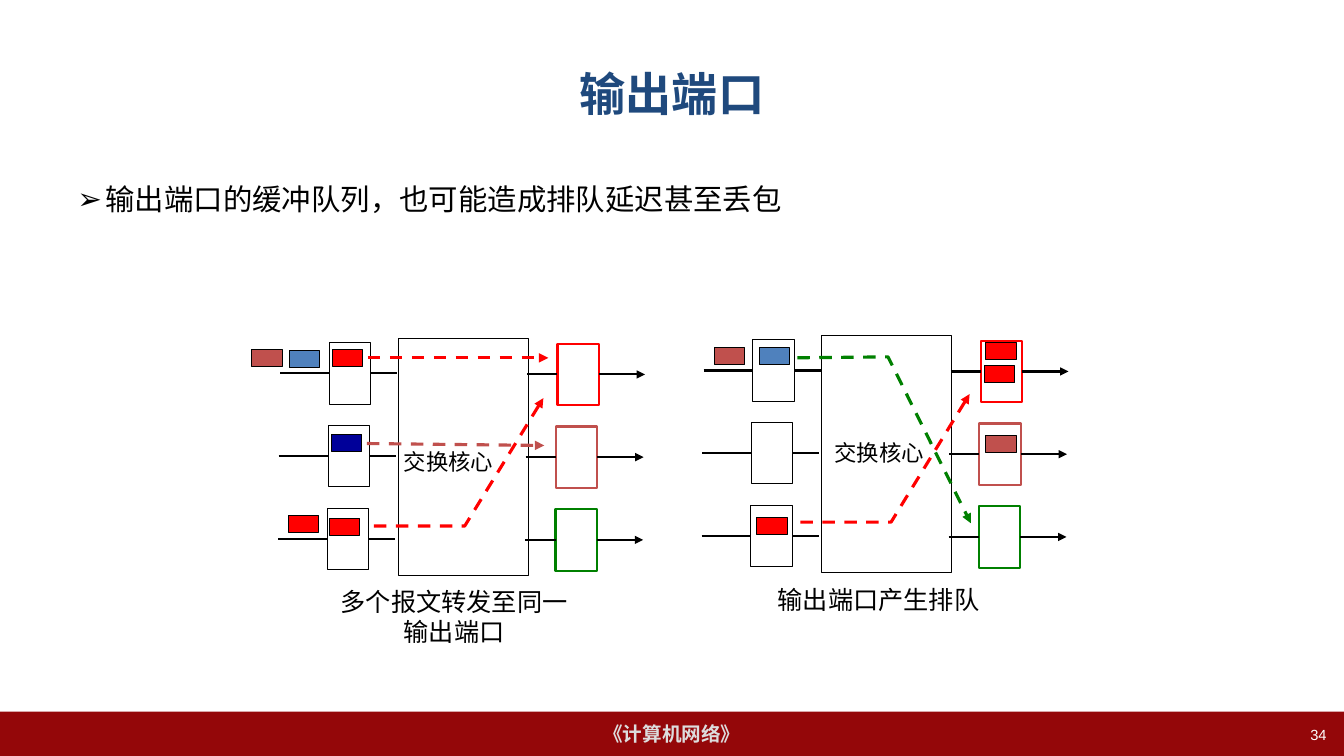
from lxml import etree
from pptx import Presentation
from pptx.dml.color import RGBColor
from pptx.enum import dml, shapes, text
from pptx.oxml.ns import qn
from pptx.util import Pt

# Content
TITLE = "输出端口"
BULLET = "输出端口的缓冲队列，也可能造成排队延迟甚至丢包"
COURSE = "《计算机网络》"
PAGE_NUMBER = "34"
COLOURS = {
    "white": "FFFFFF", "black": "000000", "title": "1F497D", "footer": "940709",
    "course": "DDDDDD", "red": "FF0000", "brick": "C0504D", "green": "008000",
    "blue": "4F81BD", "navy": "000099",
}
ARIAL, NOTO = "Arial", "Noto Sans CJK SC"

# Each switch: core corner, label and caption boxes, packets (colour, left, top)
# and flows (colour, points)
SWITCHES = [
    {
        "core": (284.4, 241.9),
        "label": ("交换核心", 281.5, 316.8),
        "caption": ("多个报文转发至同一输出端口", 227.5, 415.4, 51.1),
        "packets": [
            ("red", 237.6, 249.8), ("navy", 236.9, 310.3), ("red", 235.4, 370.1),
            ("blue", 206.6, 250.6), ("red", 205.9, 367.9), ("brick", 180, 249.8),
        ],
        "flows": [
            ("red", [(262.8, 255.6), (391.7, 255.6)]),
            ("red", [(267.1, 375.8), (331.9, 375.8), (388.1, 284.4)]),
            ("brick", [(262.1, 316.8), (388.8, 318.2)]),
        ],
    },
    {
        "core": (586.8, 239.8),
        "label": ("交换核心", 589, 310.3),
        "caption": ("输出端口产生排队", 530.6, 414, 28.8),
        "packets": [
            ("red", 704.2, 244.8), ("brick", 704.2, 311), ("red", 703.4, 261.4),
            ("blue", 542.2, 248.4), ("red", 540.7, 369.4), ("brick", 510.5, 248.4),
        ],
        "flows": [
            ("red", [(571.7, 373), (636.5, 373), (692.6, 281.5)]),
            ("green", [(569.5, 255.6), (634.3, 254.9), (693.4, 373.7)]),
        ],
    },
]
# Port rows: output colour, sideways shift of the row
ROWS = [("red", 0), ("brick", -1.1), ("green", -1.4)]
ROW_STEP = 59.1
CORE_SIZE, PORT_SIZE, PACKET_SIZE = (92.9, 169.2), (29.5, 43.9), (21.6, 12.2)

deck = Presentation()
deck.slide_width, deck.slide_height = Pt(960), Pt(540)
page = deck.slides.add_slide(deck.slide_layouts[1])


def colour(name):
    return RGBColor.from_string(COLOURS[name])


def place(box, left, top, width, height):
    box.left, box.top, box.width, box.height = map(Pt, (left, top, width, height))


def write(box, words, size, ink, font=ARIAL, bold=False, align=text.PP_ALIGN.LEFT,
          anchor=text.MSO_ANCHOR.TOP, wrap=True):
    frame = box.text_frame
    frame.word_wrap, frame.vertical_anchor = wrap, anchor
    frame.auto_size = text.MSO_AUTO_SIZE.NONE
    para = frame.paragraphs[0]
    para.alignment = align
    span = para.add_run()
    span.text = words
    span.font.size, span.font.bold, span.font.name = Pt(size), bold, font
    span.font.color.rgb = colour(ink)
    east = etree.SubElement(span.font._element, qn("a:ea"))
    east.set("typeface", NOTO)
    return para


def add_text(left, top, width, height, *words, **style):
    box = page.shapes.add_textbox(*map(Pt, (left, top, width, height)))
    write(box, *words, **style)


def add_box(left, top, size, fill, line=None, weight=0.75):
    box = page.shapes.add_shape(shapes.MSO_SHAPE.RECTANGLE,
                                *map(Pt, (left, top, *size)))
    box.shadow.inherit = False
    box.fill.solid()
    box.fill.fore_color.rgb = colour(fill)
    if line:
        box.line.color.rgb, box.line.width = colour(line), Pt(weight)
    else:
        box.line.fill.background()
    return box


def style_line(shape, ink, weight, dashed=False, arrow=False):
    shape.line.color.rgb, shape.line.width = colour(ink), Pt(weight)
    if dashed:
        shape.line.dash_style = dml.MSO_LINE.DASH
    if arrow:
        tail = etree.SubElement(shape.line._get_or_add_ln(), qn("a:tailEnd"))
        tail.set("type", "triangle")


def add_line(start, end, ink="black", weight=1.5, **style):
    line = page.shapes.add_connector(shapes.MSO_CONNECTOR.STRAIGHT,
                                     *map(Pt, (*start, *end)))
    style_line(line, ink, weight, **style)
    etree.SubElement(line._element.spPr, qn("a:effectLst"))
    return line


def add_flow(ink, points):
    if len(points) == 2:
        add_line(*points, ink, 2.25, dashed=True, arrow=True)
        return
    corners = [(Pt(x), Pt(y)) for x, y in points]
    builder = page.shapes.build_freeform(*corners[0])
    builder.add_line_segments(corners[1:], close=False)
    flow = builder.convert_to_shape()
    flow.shadow.inherit = False
    flow.fill.background()
    style_line(flow, ink, 2.25, dashed=True, arrow=True)


def add_ports(core_left, core_top):
    width, height = PORT_SIZE
    for row, (ink, shift) in enumerate(ROWS):
        left, top = core_left + shift, core_top + 2.9 + row * ROW_STEP
        entry = add_box(left - 49, top, PORT_SIZE, "white", "black")
        leave = add_box(left + 113.8, top + 0.7, PORT_SIZE, "white", ink, 1.5)
        middle = top + height / 2
        # Lines into and out of the input port
        add_line((left - 84.2, middle), (left - 49, middle)).end_connect(entry, 1)
        add_line((left - 49 + width, middle),
                 (left - 0.7, middle)).begin_connect(entry, 3)
        # Lines into and out of the output port
        middle += 0.7
        add_line((left + 92.2, middle), (left + 113.8, middle)).end_connect(leave, 1)
        add_line((left + 113.8 + width, middle), (left + 176.4, middle),
                 arrow=True).begin_connect(leave, 3)


# Footer band and page number
CENTER, MIDDLE = text.PP_ALIGN.CENTER, text.MSO_ANCHOR.MIDDLE
band = add_box(0, 508.3, (960, 31.7), "footer")
write(band, COURSE, 14, "course", bold=True, align=CENTER, anchor=MIDDLE, wrap=False)
add_text(730.8, 514.8, 223.9, 25.2, PAGE_NUMBER, 10.5, "white",
         align=text.PP_ALIGN.RIGHT)

# Title and bullet
title, body = page.placeholders
place(title, 48, 21.6, 864, 90)
write(title, TITLE, 33, "title", bold=True, align=CENTER, anchor=MIDDLE)
place(body, 48, 126, 864, 72)
para = write(body, BULLET, 21, "black")
para.space_before = Pt(0)
properties = para._p.get_or_add_pPr()
properties.set("marL", str(Pt(20.2)))
properties.set("indent", str(-Pt(20.2)))
etree.SubElement(properties, qn("a:buChar")).set("char", "➢")

# Switches
for switch in SWITCHES:
    add_box(*switch["core"], CORE_SIZE, "white", "black")
    add_ports(*switch["core"])
    words, left, top = switch["label"]
    add_text(left, top, 79.2, 26.6, words, 16, "black", font=NOTO, wrap=False)
    words, left, top, height = switch["caption"]
    add_text(left, top, 193.7, height, words, 18, "black", font=NOTO, align=CENTER)
    for ink, left, top in switch["packets"]:
        add_box(left, top, PACKET_SIZE, ink, "black")
    for flow in switch["flows"]:
        add_flow(*flow)

deck.save("out.pptx")
